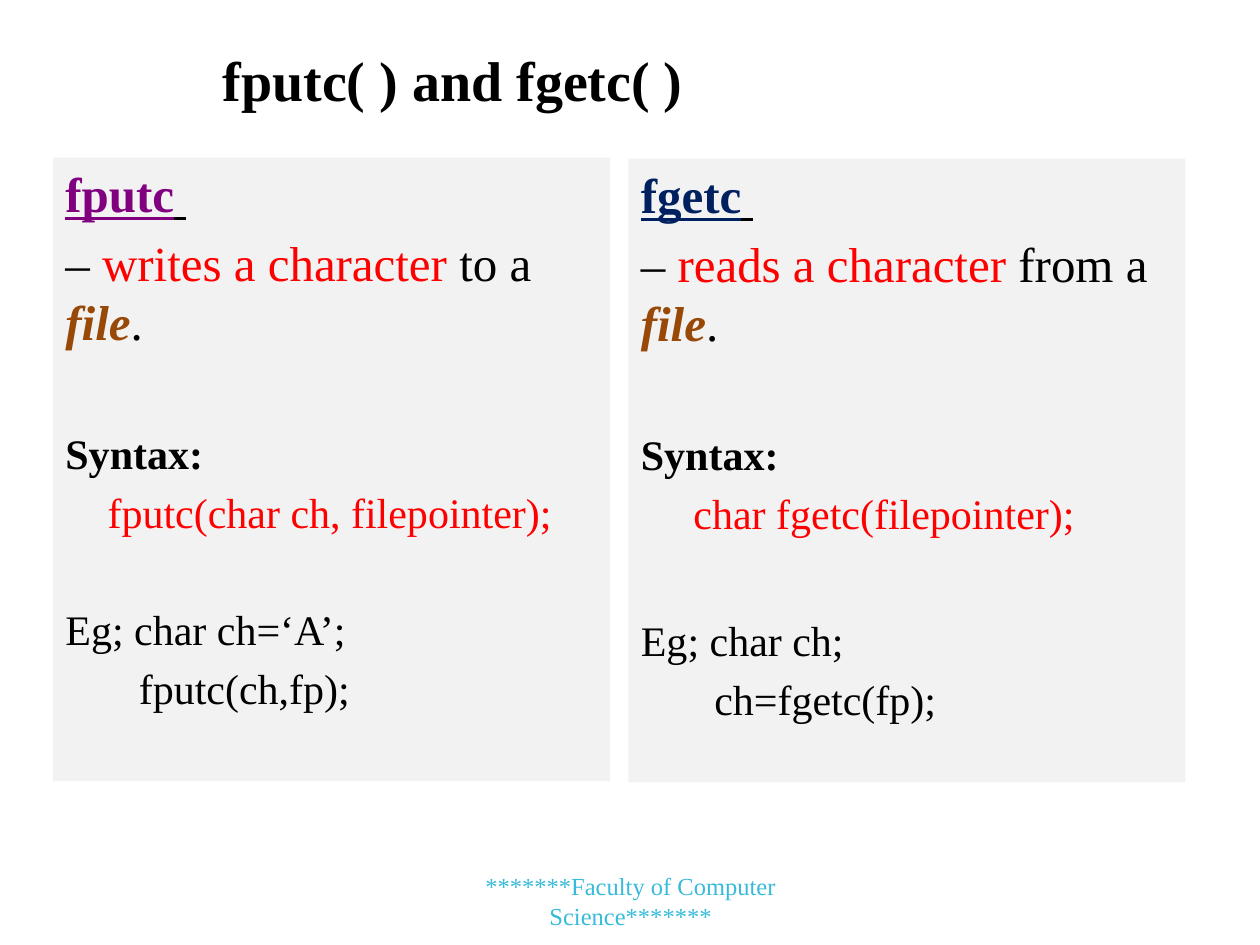
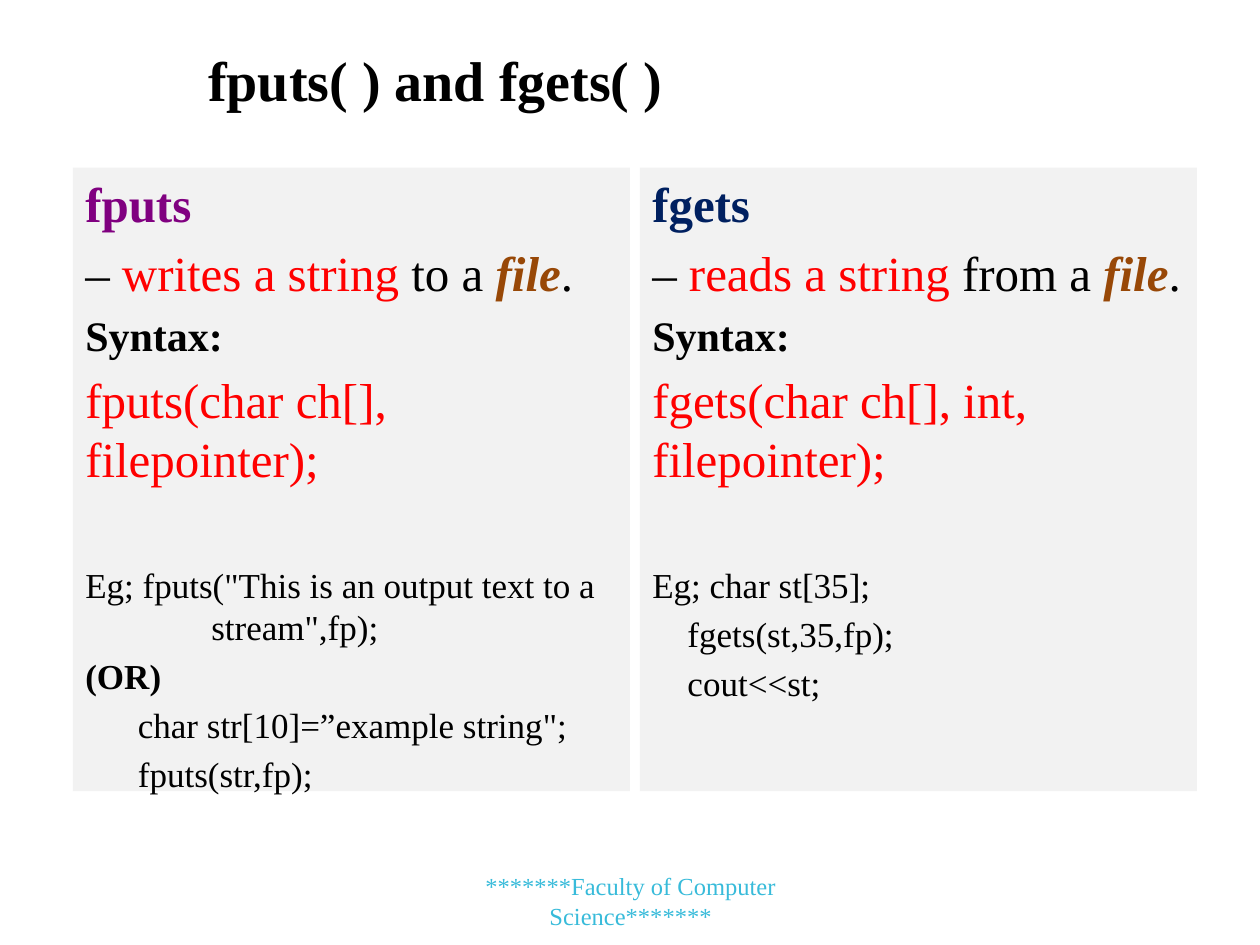
from dataclasses import dataclass

from pptx import Presentation
from pptx.dml.color import RGBColor
from pptx.enum.shapes import MSO_SHAPE
from pptx.enum.text import MSO_ANCHOR, PP_ALIGN
from pptx.util import Cm, Pt

RECTANGLE = MSO_SHAPE.RECTANGLE
TOP, MIDDLE = MSO_ANCHOR.TOP, MSO_ANCHOR.MIDDLE
LEFT, CENTER = PP_ALIGN.LEFT, PP_ALIGN.CENTER


@dataclass(frozen=True)
class Theme:
    font: str = "Times New Roman"
    ink: str = "000000"
    panel: str = "F2F2F2"
    output_name: str = "800080"
    input_name: str = "002060"
    accent: str = "FF0000"
    file_word: str = "984807"
    footer: str = "38BBDA"
    title_size: int = 32
    lead_size: int = 28
    code_size: int = 24
    example_size: int = 20
    footer_size: int = 14
    space_ratio: float = 0.2
    line_ratio: float = 1.2


@dataclass(frozen=True)
class Span:
    text: str
    color: str = Theme.ink
    bold: bool = False
    italic: bool = False
    underline: bool = False


@dataclass(frozen=True)
class Line:
    spans: tuple
    size: int
    skipped: int = 0
    indent: float = 0
    hanging: float = 0


class Deck:
    def __init__(self, theme):
        self.theme = theme
        self.prs = Presentation()
        self.prs.slide_width, self.prs.slide_height = Cm(25.4), Cm(19.05)
        self.slide = None

    def new_slide(self):
        self.slide = self.prs.slides.add_slide(self.prs.slide_layouts[6])

    def set_text(self, frame, lines, align, anchor, spaced=False):
        theme = self.theme
        frame.word_wrap = True
        frame.vertical_anchor = anchor
        for index, line in enumerate(lines):
            paragraph = frame.paragraphs[0] if index == 0 else frame.add_paragraph()
            paragraph.alignment = align
            paragraph.font.name = theme.font
            paragraph.font.size = Pt(line.size)
            if spaced:
                skip = line.skipped * (theme.line_ratio + theme.space_ratio)
                paragraph.space_before = Pt(round(line.size * theme.space_ratio + skip, 1))
            if line.indent or line.hanging:
                properties = paragraph._p.get_or_add_pPr()
                properties.set("marL", str(Cm(line.indent + line.hanging)))
                properties.set("indent", str(-Cm(line.hanging)))
            for span in line.spans:
                run = paragraph.add_run()
                run.text = span.text
                run.font.color.rgb = RGBColor.from_string(span.color)
                run.font.bold = span.bold
                run.font.italic = span.italic
                run.font.underline = span.underline

    def caption(self, span, size, left, top, width, height):
        box = self.slide.shapes.add_textbox(Cm(left), Cm(top), Cm(width), Cm(height))
        self.set_text(box.text_frame, [Line((span,), size)], CENTER, MIDDLE)

    def title(self, text, left):
        self.caption(Span(text, bold=True), self.theme.title_size, left, 0, 17.4, 3.18)

    def footer(self):
        self.caption(Span("*******Faculty of Computer Science*******", self.theme.footer),
                     self.theme.footer_size, 8.69, 17.65, 8.05, 1.02)

    def panel(self, lines, left, top):
        panel = self.slide.shapes.add_shape(RECTANGLE, Cm(left), Cm(top), Cm(11.23), Cm(12.57))
        panel.shadow.inherit = False
        panel.fill.solid()
        panel.fill.fore_color.rgb = RGBColor.from_string(self.theme.panel)
        panel.line.fill.background()
        self.set_text(panel.text_frame, lines, LEFT, TOP, spaced=True)

    def definition(self, name, color, action, direction, underline=False):
        theme = self.theme
        heading = [Span(name, color, bold=True, underline=underline)]
        if underline:
            heading.append(Span(" ", bold=True, underline=True))
        meaning = (Span("– "), Span(action, theme.accent), Span(f" {direction} a "),
                   Span("file", theme.file_word, bold=True, italic=True), Span("."))
        return [Line(tuple(heading), theme.lead_size), Line(meaning, theme.lead_size)]

    def syntax(self, code, size, skipped=0, indent=0):
        theme = self.theme
        return [Line((Span("Syntax:", bold=True),), theme.code_size, skipped),
                Line((Span(code, theme.accent),), size, indent=indent)]

    def example(self, text, size, bold=False, **spacing):
        return Line((Span(text, bold=bold),), size, **spacing)


def character_slide(deck):
    theme = deck.theme
    lead, code = theme.lead_size, theme.code_size
    deck.new_slide()
    deck.title("fputc( ) and fgetc( )", 0.43)
    deck.panel(
        deck.definition("fputc", theme.output_name, "writes a character", "to", underline=True)
        + deck.syntax("fputc(char ch, filepointer);", code, lead, 0.85)
        + [deck.example("Eg; char ch=‘A’;", code, skipped=code),
           deck.example("fputc(ch,fp);", code, indent=1.48)],
        1.07, 3.18)
    deck.panel(
        deck.definition("fgetc", theme.input_name, "reads a character", "from", underline=True)
        + deck.syntax("char fgetc(filepointer);", code, lead, 1.06)
        + [deck.example("Eg; char ch;", code, skipped=lead),
           deck.example("ch=fgetc(fp);", code, indent=1.48)],
        12.67, 3.2)
    deck.footer()


def string_slide(deck):
    theme = deck.theme
    lead, small = theme.lead_size, theme.example_size
    deck.new_slide()
    deck.title("fputs( ) and fgets( )", 0.08)
    deck.panel(
        deck.definition("fputs", theme.output_name, "writes a string", "to")
        + deck.syntax("fputs(char ch[], filepointer);", lead)
        + [deck.example('Eg; fputs("This is an output text to a stream",fp);', small,
                        skipped=lead, hanging=2.54),
           deck.example("(OR)", small, bold=True),
           deck.example('char str[10]=”example string";', small, indent=1.06),
           deck.example("fputs(str,fp);", small, indent=1.06)],
        1.47, 3.38)
    deck.panel(
        deck.definition("fgets", theme.input_name, "reads a string", "from")
        + deck.syntax("fgets(char ch[], int, filepointer);", lead)
        + [deck.example("Eg; char st[35];", small, skipped=lead),
           deck.example("fgets(st,35,fp);", small, indent=0.71),
           deck.example("cout<<st;", small, indent=0.71)],
        12.9, 3.38)
    deck.footer()


def main():
    deck = Deck(Theme())
    character_slide(deck)
    string_slide(deck)
    deck.prs.save("out.pptx")


if __name__ == "__main__":
    main()
